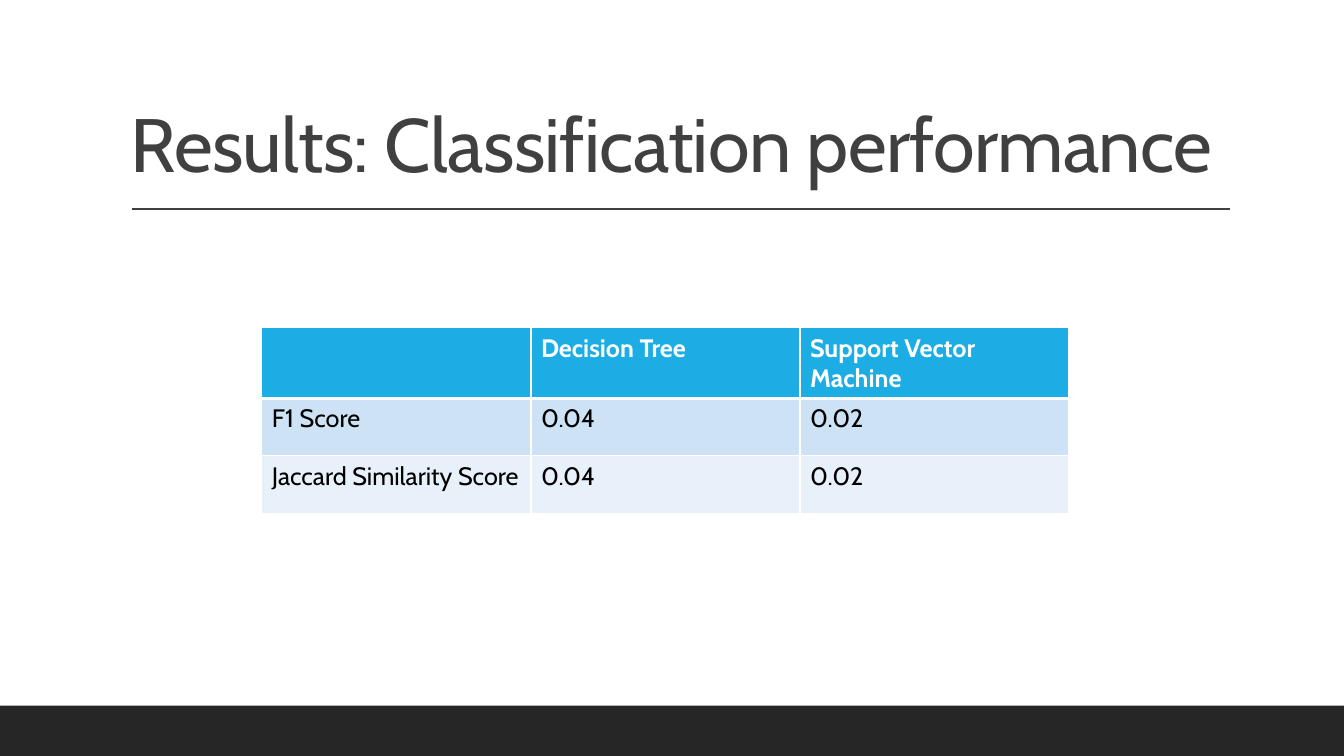
from lxml.etree import SubElement
from pptx import Presentation
from pptx.dml.color import RGBColor
from pptx.enum.shapes import MSO_CONNECTOR as Connector, MSO_SHAPE as Shape
from pptx.enum.text import MSO_ANCHOR as Anchor
from pptx.oxml.ns import qn
from pptx.util import Cm, Pt

WHITE = RGBColor(0xFF, 0xFF, 0xFF)
BLACK = RGBColor(0x00, 0x00, 0x00)
CHARCOAL = RGBColor(0x26, 0x26, 0x26)
GRAY = RGBColor(0x40, 0x40, 0x40)
HEADER_BLUE = RGBColor(0x1C, 0xAD, 0xE4)
BANDS = (RGBColor(0xCD, 0xE3, 0xF5), RGBColor(0xE8, 0xF1, 0xFA))

SCORES = (
    ("", "Decision Tree", "Support Vector Machine"),
    ("F1 Score", "0.04", "0.02"),
    ("Jaccard Similarity Score", "0.04", "0.02"),
)


class SlideBuilder:
    """Hold the font and the current page, and draw each kind of element."""

    def __init__(self, page, font_name):
        self.page = page
        self.font_name = font_name

    def style(self, para, size, color, bold=False):
        for span in para.runs:
            font = span.font
            font.name = self.font_name
            font.size = Pt(size)
            font.bold = bold
            font.color.rgb = color

    def bar(self, left, top, width, height, color):
        bar = self.page.shapes.add_shape(Shape.RECTANGLE, left, top, width, height)
        bar.shadow.inherit = False
        bar.fill.solid()
        bar.fill.fore_color.rgb = color
        bar.line.fill.background()

    def rule(self, left, right, top, color):
        rule = self.page.shapes.add_connector(Connector.STRAIGHT, left, top, right, top)
        rule.line.color.rgb = color
        rule.line.width = Pt(1)
        SubElement(rule._element.spPr, qn("a:effectLst"))

    def title(self, text, left, top, width, height):
        frame = self.page.shapes.add_textbox(left, top, width, height).text_frame
        frame.word_wrap = True
        frame.vertical_anchor = Anchor.BOTTOM
        frame.text = text
        para = frame.paragraphs[0]
        para.line_spacing = 0.8
        self.style(para, 54, GRAY)
        para.runs[0].font._element.set("spc", "-50")

    def borders(self, cell, top, bottom):
        properties = cell._tc.get_or_add_tcPr()
        for side, width in (("L", 1), ("R", 1), ("T", top), ("B", bottom)):
            line = SubElement(properties, qn(f"a:ln{side}"), w=str(Pt(width)))
            fill = SubElement(line, qn("a:solidFill"))
            SubElement(fill, qn("a:srgbClr"), val=str(WHITE))

    def table(self, rows, left, top, width, height):
        shape = self.page.shapes.add_table(len(rows), len(rows[0]), left, top, width, height)
        for row, texts in enumerate(rows):
            header = row == 0
            for column, text in enumerate(texts):
                cell = shape.table.cell(row, column)
                cell.text = text
                self.style(cell.text_frame.paragraphs[0], 18, WHITE if header else BLACK, header)
                self.borders(cell, 3 if row == 1 else 1, 3 if header else 1)
                cell.fill.solid()
                cell.fill.fore_color.rgb = HEADER_BLUE if header else BANDS[(row - 1) % 2]


def main():
    deck = Presentation()
    deck.slide_width = Cm(33.87)
    deck.slide_height = Cm(19.05)
    builder = SlideBuilder(deck.slides.add_slide(deck.slide_layouts[6]), "Cabin")
    builder.bar(Cm(0), Cm(17.78), deck.slide_width, Cm(1.27), CHARCOAL)
    builder.rule(Cm(3.33), Cm(31), Cm(5.27), GRAY)
    builder.title("Results: Classification performance", Cm(3.05), Cm(0.8), Cm(27.94), Cm(4.03))
    builder.table(SCORES, Cm(6.6), Cm(8.26), Cm(20.34), Cm(4.34))
    deck.save("out.pptx")


if __name__ == "__main__":
    main()
